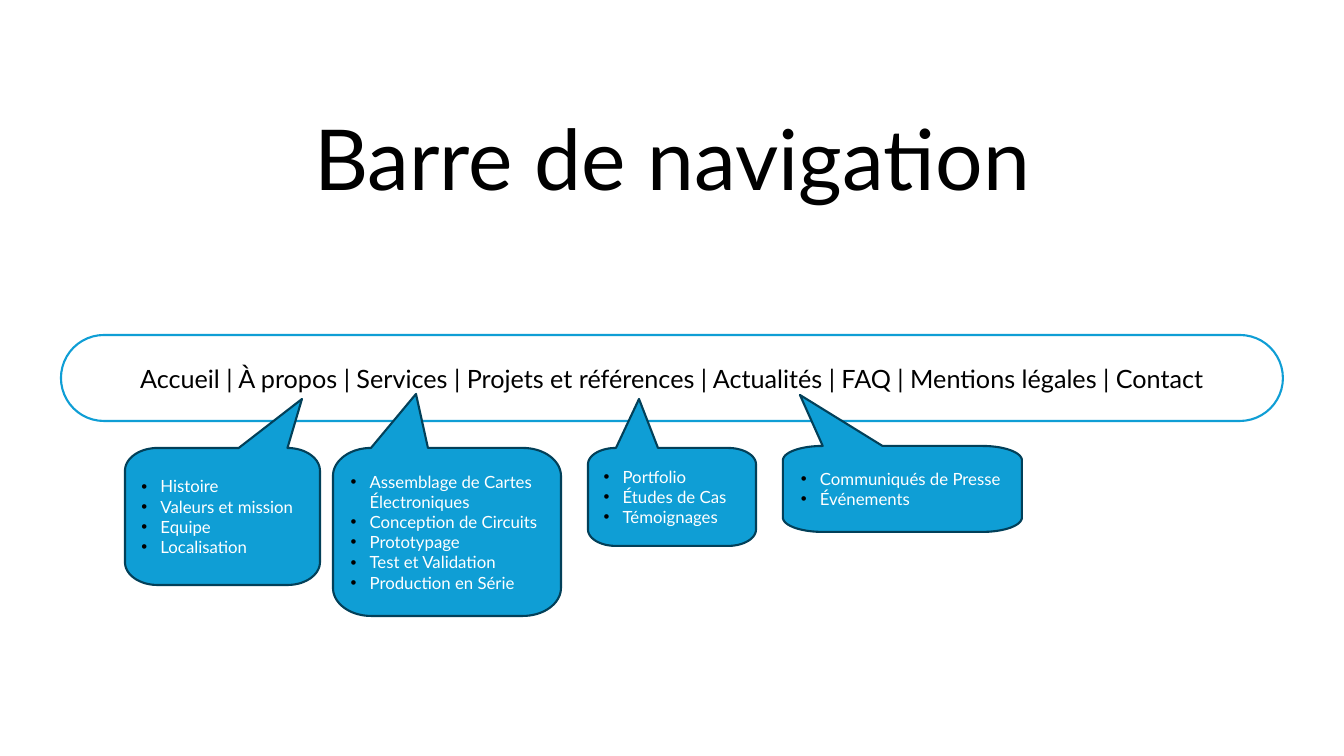
from math import cos, radians, sin

from lxml.etree import SubElement
from pptx import Presentation
from pptx.dml.color import RGBColor
from pptx.enum.shapes import MSO_SHAPE
from pptx.enum.text import MSO_ANCHOR, MSO_AUTO_SIZE, PP_ALIGN
from pptx.oxml.ns import qn
from pptx.util import Emu, Pt

EMU_PER_PX = 914400 / 100.8
FONT = "Lato"
WHITE = RGBColor(0xFF, 0xFF, 0xFF)
BLACK = RGBColor(0x00, 0x00, 0x00)
BLUE = RGBColor(0x0F, 0x9E, 0xD5)
NAVY = RGBColor(0x02, 0x40, 0x59)

MENU = ["Accueil", "À propos", "Services", "Projets et références",
        "Actualités", "FAQ", "Mentions légales", "Contact"]

# Box (left, top, width, height), tail tip, tail root in twelfths of the width, entries
SUBMENUS = [
    ((125, 448, 195, 137), (302, 399), (7, 10),
     ["Histoire", "Valeurs et mission", "Equipe", "Localisation"]),
    ((333, 448, 228, 168), (416, 394), (2, 5),
     ["Assemblage de Cartes Électroniques", "Conception de Circuits",
      "Prototypage", "Test et Validation", "Production en Série"]),
    ((588, 448, 168, 98), (639, 399), (2, 5),
     ["Portfolio", "Études de Cas", "Témoignages"]),
    ((783, 446, 239, 86), (800, 395), (2, 5),
     ["Communiqués de Presse", "Événements"]),
]


def px(length):
    return Emu(round(length * EMU_PER_PX))


def add_run(paragraph, text, size, color):
    run = paragraph.add_run()
    run.text = text
    run.font.name = FONT
    run.font.size = Pt(size)
    run.font.color.rgb = color


def paint(shape, fill, line):
    shape.shadow.inherit = False
    shape.fill.solid()
    shape.fill.fore_color.rgb = fill
    shape.line.color.rgb = line
    shape.line.width = Pt(1.5)


def add_bullet(paragraph):
    properties = paragraph._p.get_or_add_pPr()
    properties.set("marL", str(px(19)))
    properties.set("indent", str(-px(19)))
    color = SubElement(properties, qn("a:buClr"))
    SubElement(color, qn("a:srgbClr"), val=str(BLACK))
    SubElement(properties, qn("a:buFont"), typeface="Arial")
    SubElement(properties, qn("a:buChar"), char="•")


def callout_outline(box, tip, root):
    """Rounded box with elliptical corners and a tail on its top edge."""
    left, top, width, height = box
    rx, ry = width / 6, height / 6
    right, bottom = left + width, top + height
    corners = [(right - rx, top + ry, 270), (right - rx, bottom - ry, 0),
               (left + rx, bottom - ry, 90), (left + rx, top + ry, 180)]
    points = [(cx + rx * cos(radians(start + step)),
               cy + ry * sin(radians(start + step)))
              for cx, cy, start in corners for step in range(0, 91, 5)]
    tail_start, tail_end = [(left + width * part / 12, top) for part in root]
    points += [tail_start, tip, tail_end]
    return [(px(x), px(y)) for x, y in points]


def add_title(slide, text):
    title = slide.shapes.title
    title.left, title.top, title.width, title.height = map(px, (168, 100, 1008, 114))
    frame = title.text_frame
    frame.auto_size = MSO_AUTO_SIZE.NONE
    frame.vertical_anchor = MSO_ANCHOR.BOTTOM
    paragraph = frame.paragraphs[0]
    paragraph.alignment = PP_ALIGN.CENTER
    paragraph.line_spacing = 0.9
    add_run(paragraph, text, 60, BLACK)


def add_navigation_bar(slide):
    bar = slide.shapes.add_shape(MSO_SHAPE.ROUNDED_RECTANGLE,
                                 *map(px, (61, 335, 1222, 86)))
    bar.adjustments[0] = 0.5
    paint(bar, WHITE, BLUE)
    bar.text_frame.vertical_anchor = MSO_ANCHOR.MIDDLE
    paragraph = bar.text_frame.paragraphs[0]
    paragraph.alignment = PP_ALIGN.CENTER
    add_run(paragraph, " | ".join(MENU), 18, BLACK)


def add_submenu(slide, box, tip, root, entries):
    outline = callout_outline(box, tip, root)
    builder = slide.shapes.build_freeform(*outline[0])
    builder.add_line_segments(outline[1:], close=True)
    submenu = builder.convert_to_shape()
    paint(submenu, BLUE, NAVY)

    # Keep the text inside the box, below the tail
    frame = submenu.text_frame
    frame.word_wrap = True
    frame.vertical_anchor = MSO_ANCHOR.MIDDLE
    frame.margin_left = frame.margin_right = px(10 + box[2] / 30)
    frame.margin_top = px(box[1] - tip[1] + 5)
    frame.margin_bottom = px(5)
    for index, entry in enumerate(entries):
        paragraph = frame.add_paragraph() if index else frame.paragraphs[0]
        paragraph.alignment = PP_ALIGN.LEFT
        add_bullet(paragraph)
        add_run(paragraph, entry, 12, WHITE)


def main():
    deck = Presentation()
    deck.slide_width, deck.slide_height = px(1344), px(756)
    slide = deck.slides.add_slide(deck.slide_layouts[5])
    add_title(slide, "Barre de navigation")
    add_navigation_bar(slide)
    for submenu in SUBMENUS:
        add_submenu(slide, *submenu)
    deck.save("out.pptx")


if __name__ == "__main__":
    main()
